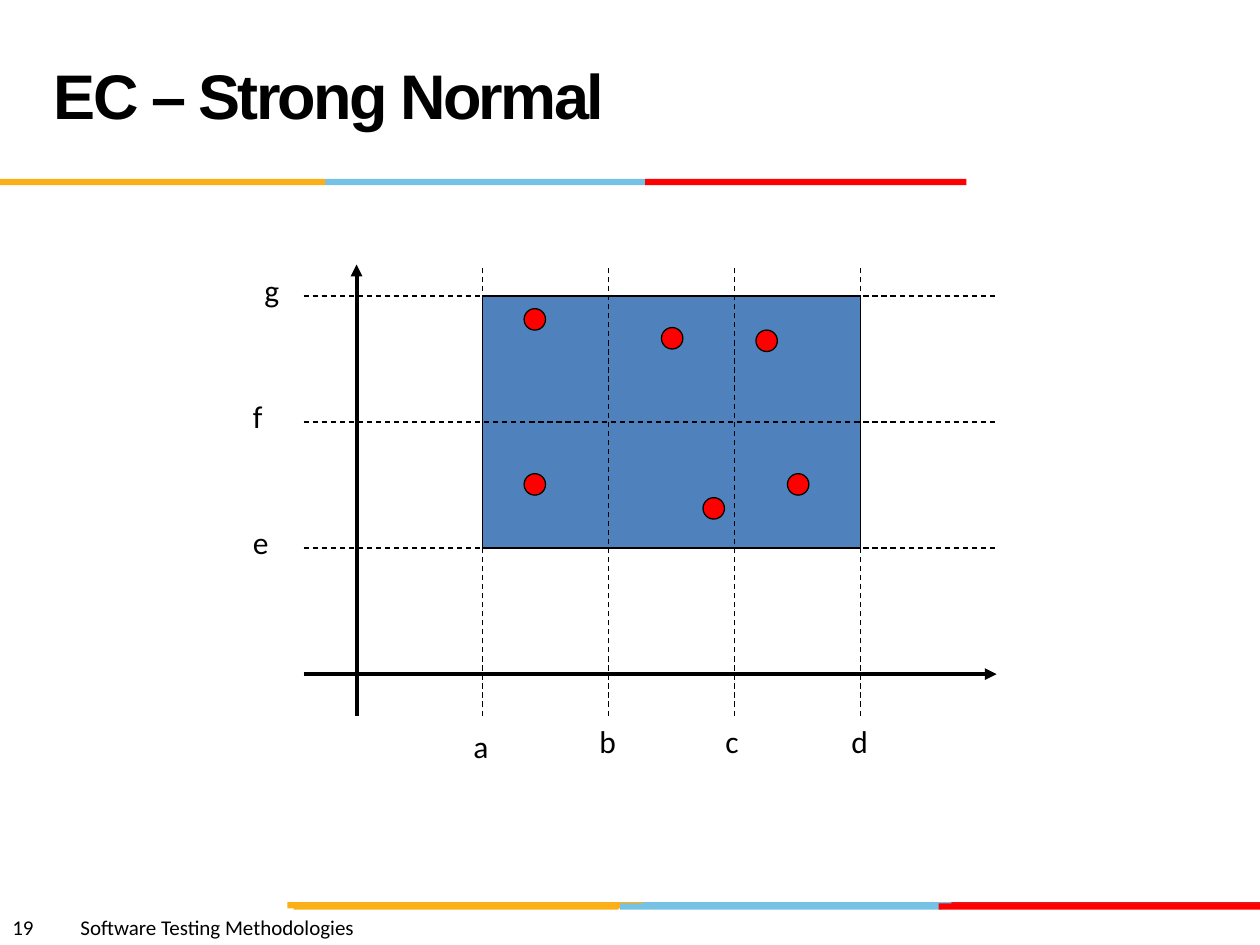
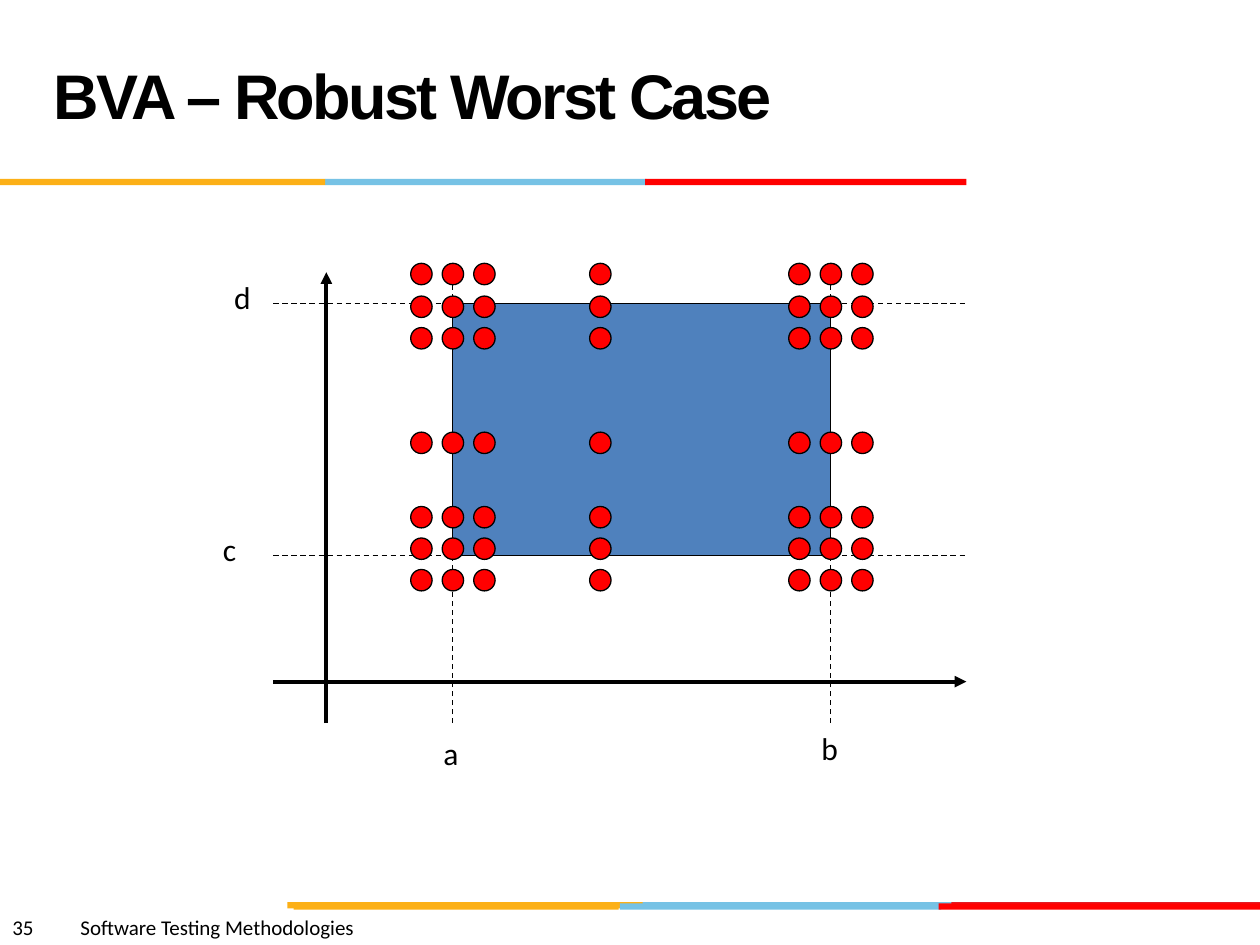
from dataclasses import dataclass
from itertools import product
from typing import NamedTuple

from lxml import etree
from pptx import Presentation
from pptx.dml.color import RGBColor
from pptx.enum.dml import MSO_LINE
from pptx.enum.shapes import MSO_CONNECTOR, MSO_SHAPE
from pptx.enum.text import MSO_ANCHOR
from pptx.oxml.ns import qn
from pptx.util import Inches, Pt

RECTANGLE, OVAL = MSO_SHAPE.RECTANGLE, MSO_SHAPE.OVAL
STRAIGHT, DASH = MSO_CONNECTOR.STRAIGHT, MSO_LINE.DASH
TOP, MIDDLE = MSO_ANCHOR.TOP, MSO_ANCHOR.MIDDLE


@dataclass(frozen=True)
class Theme:
    black: str = "000000"
    yellow: str = "FCB017"
    blue: str = "76C2E5"
    crimson: str = "E31C24"
    red: str = "FF0000"
    region: str = "4F81BD"
    title_font: str = "Arial"
    body_font: str = "Calibri"
    title_size: float = 36
    label_size: float = 18
    footer_size: float = 12
    thin: float = 0.75
    thick: float = 2.25


THEME = Theme()


class Band(NamedTuple):
    left: float
    top: float
    width: float
    color: str


class Point(NamedTuple):
    x: float
    y: float


class Guide(NamedTuple):
    """A dashed line `step` inches from the origin, its label nudged by `nudge`."""
    label: str
    step: float
    nudge: float = 0
    width: float = 0.34


@dataclass(frozen=True)
class Plot:
    number: int
    title: str
    origin: Point
    columns: list[Guide]
    rows: list[Guide]
    dots: list[Point]  # top left corners


BAND_HEIGHT = 0.05
BANDS = [
    Band(5.06, 7.16, 2.55, THEME.blue),
    Band(7.55, 7.16, 2.45, THEME.crimson),
    Band(2.28, 7.16, 2.82, THEME.yellow),
    Band(4.92, 7.17, 2.55, THEME.blue),
    Band(2.33, 7.17, 2.58, THEME.yellow),
    Band(7.45, 7.17, 2.55, THEME.red),
    Band(2.58, 1.42, 2.55, THEME.blue),
    Band(0, 1.42, 2.58, THEME.yellow),
    Band(5.12, 1.42, 2.55, THEME.red),
]
FOOTER = "Software Testing Methodologies"
FOOTER_TAB = 0.54
DOT_SIZE = 0.17
# Reach of every plot line from the origin
LEFT, RIGHT, UP, DOWN = 0.42, 5.08, 3.25, 0.33

PLOTS = [
    Plot(
        19, "EC – Strong Normal", Point(2.83, 5.35),
        columns=[Guide("a", 1, 0.04), Guide("b", 2), Guide("c", 3, width=0.33),
                 Guide("d", 4)],
        rows=[Guide("e", 1), Guide("f", 2, width=0.27), Guide("g", 3, 0.09)],
        dots=[Point(4.16, 3.76), Point(5.25, 2.6), Point(6.25, 3.76),
              Point(4.16, 2.45), Point(5.58, 3.95), Point(6, 2.62)],
    ),
    Plot(
        35, "BVA – Robust Worst Case", Point(2.59, 5.41),
        columns=[Guide("a", 1, 0.04), Guide("b", 4)],
        rows=[Guide("c", 1, width=0.33), Guide("d", 3, 0.09)],
        dots=[Point(x, y) for x, y in product(
            (3.26, 3.51, 3.76, 4.68, 6.26, 6.51, 6.76),
            (2.09, 2.35, 2.6, 3.43, 4.02, 4.27, 4.52))],
    ),
]


def add_box(slide, kind, left: float, top: float, width: float, height: float,
            fill: str, outlined: bool = True) -> None:
    shape = slide.shapes.add_shape(
        kind, Inches(left), Inches(top), Inches(width), Inches(height))
    shape.shadow.inherit = False
    shape.fill.solid()
    shape.fill.fore_color.rgb = RGBColor.from_string(fill)
    if outlined:
        shape.line.color.rgb = RGBColor.from_string(THEME.black)
        shape.line.width = Pt(THEME.thin)
    else:
        shape.line.fill.background()


def add_line(slide, start: Point, end: Point, axis: bool = False) -> None:
    """Draw a thick arrow for an axis, otherwise a thin dashed guide."""
    connector = slide.shapes.add_connector(
        STRAIGHT, Inches(start.x), Inches(start.y), Inches(end.x), Inches(end.y))
    line = connector.line
    line.color.rgb = RGBColor.from_string(THEME.black)
    line.width = Pt(THEME.thick if axis else THEME.thin)
    properties = connector._element.spPr
    if axis:
        etree.SubElement(properties.find(qn("a:ln")), qn("a:tailEnd"), type="triangle")
    else:
        line.dash_style = DASH
    etree.SubElement(properties, qn("a:effectLst"))


def add_text(slide, text: str, left: float, top: float, width: float, height: float,
             *, size: float, font: str = THEME.body_font, bold: bool = False,
             wrap: bool = True, anchor=TOP, line_spacing: float | None = None,
             letter_spacing: float = 0, tab: float | None = None) -> None:
    box = slide.shapes.add_textbox(
        Inches(left), Inches(top), Inches(width), Inches(height))
    frame = box.text_frame
    frame.word_wrap = wrap
    frame.vertical_anchor = anchor
    paragraph = frame.paragraphs[0]
    if line_spacing:
        paragraph.line_spacing = Pt(line_spacing)
    if tab:
        tabs = etree.SubElement(paragraph._p.get_or_add_pPr(), qn("a:tabLst"))
        etree.SubElement(tabs, qn("a:tab"), pos=str(Inches(tab)), algn="l")
    run = paragraph.add_run()
    run.text = text
    run.font.size = Pt(size)
    run.font.name = font
    run.font.bold = bold
    run.font.color.rgb = RGBColor.from_string(THEME.black)
    if letter_spacing:
        run._r.get_or_add_rPr().set("spc", str(round(letter_spacing * 100)))


def add_frame(slide, plot: Plot) -> None:
    """Draw the colour bands, footer and title."""
    for band in BANDS:
        add_box(slide, RECTANGLE, band.left, band.top, band.width, BAND_HEIGHT,
                band.color, outlined=False)
    add_text(slide, f"{plot.number}\t{FOOTER}", 0, 7.21, 5, 0.3,
             size=THEME.footer_size, tab=FOOTER_TAB)
    add_text(slide, plot.title, 0.33, 0.17, 6.92, 1.25, size=THEME.title_size,
             font=THEME.title_font, bold=True, anchor=MIDDLE,
             line_spacing=THEME.title_size, letter_spacing=-1.5)


def add_label(slide, guide: Guide, left: float, top: float) -> None:
    add_text(slide, guide.label, left, top, guide.width, 0.4,
             size=THEME.label_size, wrap=False)


def add_vertical(slide, origin: Point, step: float, axis: bool = False) -> None:
    x = origin.x + step
    add_line(slide, Point(x, origin.y + DOWN), Point(x, origin.y - UP), axis)


def add_horizontal(slide, origin: Point, step: float, axis: bool = False) -> None:
    y = origin.y - step
    add_line(slide, Point(origin.x - LEFT, y), Point(origin.x + RIGHT, y), axis)


def add_plot(slide, plot: Plot) -> None:
    origin = plot.origin
    first_column, last_column = plot.columns[0].step, plot.columns[-1].step
    first_row, last_row = plot.rows[0].step, plot.rows[-1].step
    add_box(slide, RECTANGLE, origin.x + first_column, origin.y - last_row,
            last_column - first_column, last_row - first_row, THEME.region)
    add_vertical(slide, origin, 0, axis=True)
    add_horizontal(slide, origin, 0, axis=True)
    for guide in plot.columns:
        add_vertical(slide, origin, guide.step)
        add_label(slide, guide, origin.x + guide.step - 0.17,
                  origin.y + DOWN + guide.nudge)
    for guide in plot.rows:
        add_horizontal(slide, origin, guide.step)
        add_label(slide, guide, origin.x - 0.92 + guide.nudge,
                  origin.y - guide.step - 0.25)
    for dot in plot.dots:
        add_box(slide, OVAL, dot.x, dot.y, DOT_SIZE, DOT_SIZE, THEME.red)


def main() -> None:
    presentation = Presentation()
    presentation.slide_width = Inches(10)
    presentation.slide_height = Inches(7.5)
    blank_layout = presentation.slide_layouts[6]
    for plot in PLOTS:
        slide = presentation.slides.add_slide(blank_layout)
        add_frame(slide, plot)
        add_plot(slide, plot)
    presentation.save("out.pptx")


if __name__ == "__main__":
    main()
